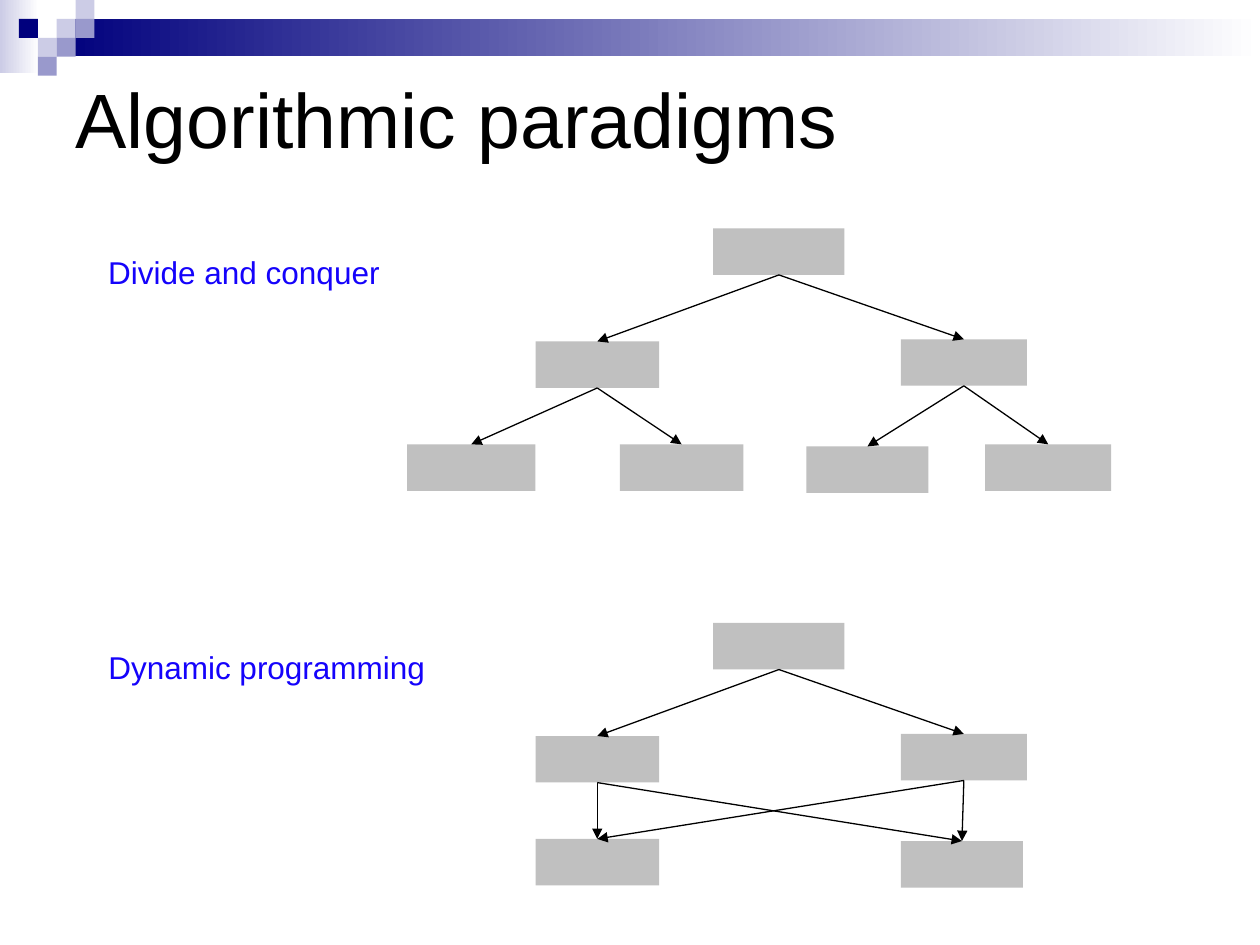
from lxml.etree import SubElement
from pptx import Presentation
from pptx.dml.color import RGBColor
from pptx.enum.shapes import MSO_CONNECTOR, MSO_SHAPE
from pptx.enum.text import MSO_ANCHOR, MSO_AUTO_SIZE, PP_ALIGN
from pptx.oxml.ns import qn
from pptx.util import Pt

COLORS = {
    "navy": "00007D", "lilac": "9999CC", "pale": "CCCCE6", "white": "FFFFFF",
    "node": "C0C0C0", "black": "000000", "label": "1503FB",
}
CELL = 10.8
SQUARES = [
    (3, 1, "pale"), (4, 0, "pale"), (4, 1, "lilac"), (2, 2, "pale"),
    (1, 1, "navy"), (3, 2, "lilac"), (2, 3, "lilac"),
]
NODE_HEIGHT = 26.6
TOP_NODES = {
    "root": (175, 0, 75), "left": (73.4, 64.6, 70.6), "right": (282.2, 63.4, 72),
}
TOP_EDGES = [("root", "left"), ("root", "right")]
DIVIDE_NODES = TOP_NODES | {
    "a": (0, 123.4, 73.4), "b": (121.6, 123.4, 70.6),
    "c": (228.2, 124.6, 69.8), "d": (330.4, 123.4, 72),
}
DIVIDE_EDGES = TOP_EDGES + [("left", "a"), ("left", "b"), ("right", "c"), ("right", "d")]
DYNAMIC_NODES = TOP_NODES | {"a": (73.4, 123.4, 70.6), "b": (282.2, 124.6, 69.8)}
DYNAMIC_EDGES = TOP_EDGES + [("left", "a"), ("left", "b"), ("right", "a"), ("right", "b")]


def rgb(name):
    """Return the named palette colour."""
    return RGBColor.from_string(COLORS[name])


def add_text(tf, text, size, color):
    """Write one left-aligned line in Arial."""
    p = tf.paragraphs[0]
    p.alignment = PP_ALIGN.LEFT
    r = p.add_run()
    r.text = text
    for key, value in {"name": "Arial", "size": Pt(size)}.items():
        setattr(r.font, key, value)
    r.font.color.rgb = rgb(color)


def add_rect(s, left, top, width, height, color, fade=False):
    """Add a borderless rectangle, solid or fading rightwards to white."""
    sp = s.shapes.add_shape(
        MSO_SHAPE.RECTANGLE, Pt(left), Pt(top), Pt(width), Pt(height))
    sp.shadow.inherit = False
    sp.line.fill.background()
    if fade:
        sp.fill.gradient()
        sp.fill.gradient_angle = 0
        for stop, name in zip(sp.fill.gradient_stops, (color, "white")):
            stop.color.rgb = rgb(name)
    else:
        sp.fill.solid()
        sp.fill.fore_color.rgb = rgb(color)
    return sp


def add_arrow(s, parent, child):
    """Join the bottom of the parent to the top of the child."""
    sp = s.shapes.add_connector(MSO_CONNECTOR.STRAIGHT, 0, 0, 0, 0)
    sp.begin_connect(parent, 2)
    sp.end_connect(child, 0)
    sp.line.width = Pt(0.75)
    sp.line.color.rgb = rgb("black")
    SubElement(sp.line._get_or_add_ln(), qn("a:tailEnd"), type="triangle")
    SubElement(sp._element.spPr, qn("a:effectLst"))


def add_banner(s, left, top, width):
    """Draw the fading bar and its corner mosaic."""
    add_rect(s, left, top, 22.3, 41.8, "pale", fade=True)
    bar = 4 * CELL - CELL
    add_rect(s, left + bar, top + CELL, width - bar, 21.4, "navy", fade=True)
    for col, row, color in SQUARES:
        add_rect(s, left + col * CELL, top + row * CELL, CELL, CELL, color)


def add_title(s, left, top, width, height):
    """Place and format the slide title."""
    sp = s.shapes.title
    box = {"left": left, "top": top, "width": width, "height": height}
    for key, value in box.items():
        setattr(sp, key, Pt(value))
    sp.text_frame.vertical_anchor = MSO_ANCHOR.MIDDLE
    add_text(sp.text_frame, "Algorithmic paradigms", 44, "black")


def add_paradigm(s, left, top, label, label_width, nodes, edges):
    """Draw a labelled call graph from its top-left corner."""
    sp = s.shapes.add_textbox(Pt(left), Pt(top + 10.6), Pt(label_width), Pt(28.8))
    sp.text_frame.word_wrap = False
    sp.text_frame.auto_size = MSO_AUTO_SIZE.SHAPE_TO_FIT_TEXT
    add_text(sp.text_frame, label, 18, "label")
    graph_left = left + 177.8
    boxes = {
        name: add_rect(s, graph_left + x, top + y, width, NODE_HEIGHT, "node")
        for name, (x, y, width) in nodes.items()
    }
    for parent, child in edges:
        add_arrow(s, boxes[parent], boxes[child])


def main():
    """Build and save the slide."""
    prs = Presentation()
    prs.slide_width, prs.slide_height = Pt(720), Pt(540)
    s = prs.slides.add_slide(prs.slide_layouts[5])
    add_banner(s, 0, 0, 720)
    add_title(s, 36, 36, 648, 62)
    add_paradigm(s, 54.8, 130.5, "Divide and conquer", 172, DIVIDE_NODES, DIVIDE_EDGES)
    add_paradigm(s, 54.8, 356, "Dynamic programming", 198, DYNAMIC_NODES, DYNAMIC_EDGES)
    prs.save("out.pptx")


if __name__ == "__main__":
    main()
